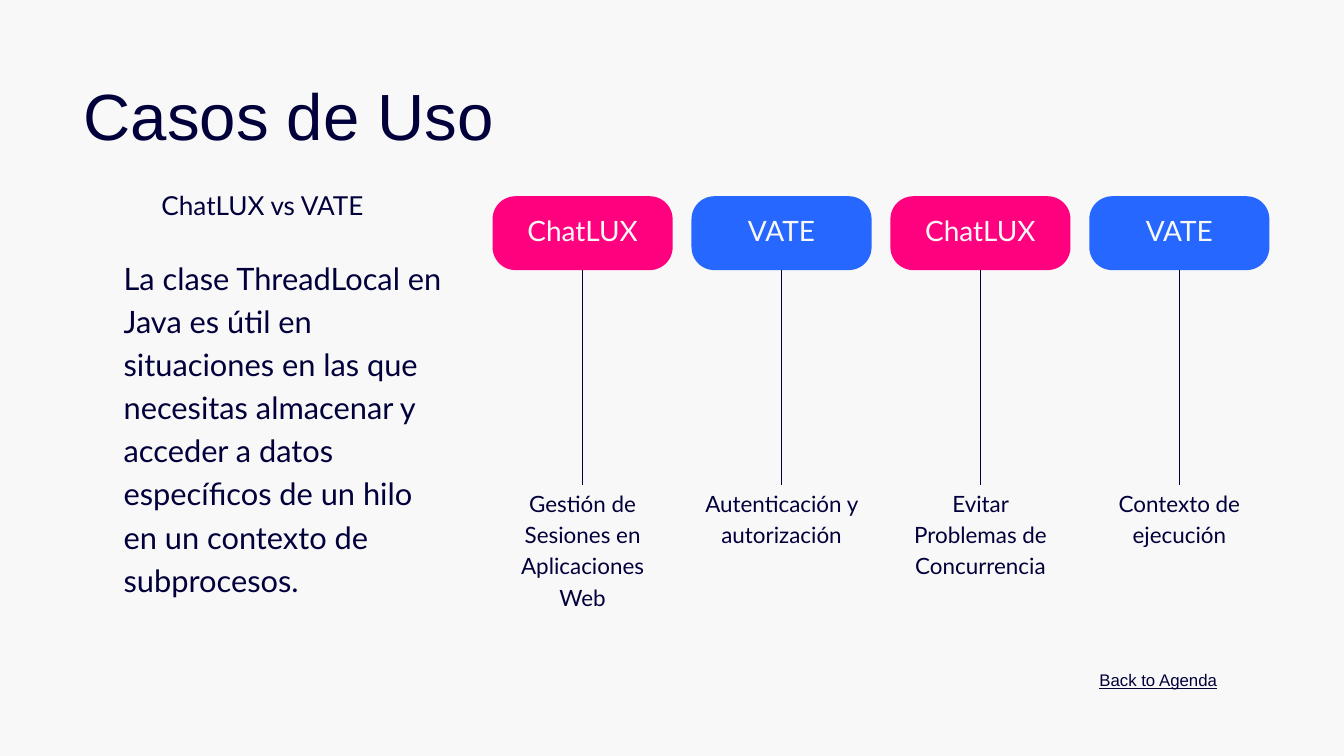
"""Builds the use-case slide: an introduction beside four labelled columns."""
from lxml import etree
from pptx import Presentation, util as u
from pptx.dml.color import RGBColor
from pptx.enum import shapes, text
from pptx.oxml.ns import qn

NAVY = RGBColor(0x01, 0x00, 0x3B)
PAPER = RGBColor(0xF8, 0xF8, 0xF8)
PINK = RGBColor(0xFF, 0x00, 0x7E)
BLUE = RGBColor(0x26, 0x67, 0xFF)

TITLE = "Casos de Uso"
SUBTITLE = "ChatLUX vs VATE"
INTRO = ("La clase ThreadLocal en Java es útil en situaciones en las que "
         "necesitas almacenar y acceder a datos específicos de un hilo en un "
         "contexto de subprocesos.")
AGENDA = "Back to Agenda"
CASES = [
    ("ChatLUX", PINK, "Gestión de Sesiones en Aplicaciones Web"),
    ("VATE", BLUE, "Autenticación y autorización"),
    ("ChatLUX", PINK, "Evitar Problemas de Concurrencia"),
    ("VATE", BLUE, "Contexto de ejecución"),
]

WIDTH, HEIGHT = 20, 11.25
COLUMN_LEFT, COLUMN_PITCH = 7.33, 2.96
CARD_TOP, CARD_WIDTH, CARD_HEIGHT = 2.92, 2.68, 1.1
CAPTION_TOP, CAPTION_WIDTH, CAPTION_HEIGHT = 7.22, 2.38, 1.82
CORNER = 0.31
LEFT, CENTER, RIGHT = text.PP_ALIGN.LEFT, text.PP_ALIGN.CENTER, text.PP_ALIGN.RIGHT


def inches(*lengths):
    return [u.Inches(length) for length in lengths]


def write(holder, words, size, spacing, font="Lato", color=NAVY, align=CENTER,
          underline=None, anchor=text.MSO_ANCHOR.TOP, bottom=0):
    frame = holder.text_frame
    frame.word_wrap = True
    frame.vertical_anchor = anchor
    frame.margin_left = frame.margin_top = frame.margin_right = 0
    frame.margin_bottom = u.Inches(bottom)
    paragraph = frame.paragraphs[0]
    paragraph.alignment = align
    paragraph.line_spacing = u.Pt(spacing)
    run = paragraph.add_run()
    run.text = words
    run.font.name, run.font.size = font, u.Pt(size)
    run.font.color.rgb, run.font.underline = color, underline
    return holder


def add_case(slide, column, name, fill, use):
    left = COLUMN_LEFT + column * COLUMN_PITCH
    card = slide.shapes.add_shape(
        shapes.MSO_SHAPE.ROUNDED_RECTANGLE,
        *inches(left, CARD_TOP, CARD_WIDTH, CARD_HEIGHT))
    card.adjustments[0] = CORNER
    card.shadow.inherit = False
    card.fill.solid()
    card.fill.fore_color.rgb = fill
    card.line.fill.background()
    write(card, name, 30, 42, color=PAPER, anchor=text.MSO_ANCHOR.MIDDLE, bottom=0.16)

    caption_left = left + (CARD_WIDTH - CAPTION_WIDTH) / 2
    caption = slide.shapes.add_textbox(
        *inches(caption_left, CAPTION_TOP, CAPTION_WIDTH, CAPTION_HEIGHT))
    write(caption, use, 24, 33.6)

    stem = slide.shapes.add_connector(shapes.MSO_CONNECTOR.STRAIGHT, 0, 0, 0, 0)
    stem.begin_connect(card, 2)
    stem.end_connect(caption, 0)
    stem.line.color.rgb = NAVY
    stem.line.width = u.Pt(0.75)
    etree.SubElement(stem._element.spPr, qn("a:effectLst"))


def main():
    deck = Presentation()
    deck.slide_width, deck.slide_height = inches(WIDTH, HEIGHT)
    slide = deck.slides.add_slide(deck.slide_layouts[6])
    slide.background.fill.solid()
    slide.background.fill.fore_color.rgb = PAPER

    passages = [
        ((0.17, 1.12, 8.25, 1.17), TITLE, dict(size=70, spacing=84, font="Arial")),
        ((0.17, 2.74, 7.47, 0.51), SUBTITLE, dict(size=28, spacing=39.2)),
        ((1.84, 3.77, 4.9, 5.06), INTRO, dict(size=33, spacing=46.2, align=LEFT)),
        ((15.94, 9.94, 2.17, 0.31), AGENDA,
         dict(size=18, spacing=23.4, font="Arial", align=RIGHT, underline=True)),
    ]
    for place, words, style in passages:
        write(slide.shapes.add_textbox(*inches(*place)), words, **style)
    for column, case in enumerate(CASES):
        add_case(slide, column, *case)
    deck.save("out.pptx")


if __name__ == "__main__":
    main()
